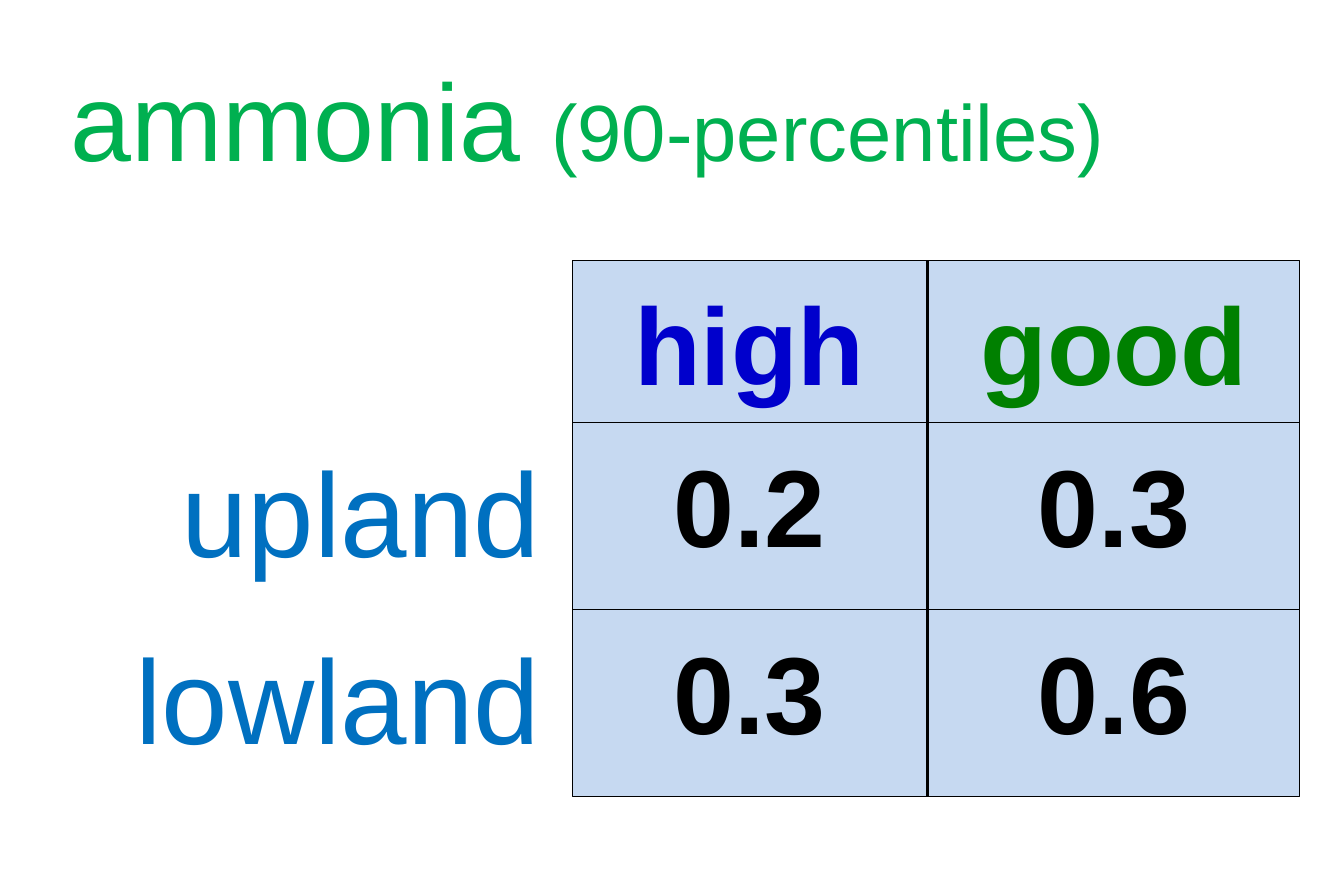
from dataclasses import dataclass

from lxml.etree import SubElement
from pptx import Presentation
from pptx.dml.color import RGBColor
from pptx.enum.shapes import MSO_CONNECTOR, MSO_SHAPE
from pptx.enum.text import MSO_ANCHOR, PP_ALIGN
from pptx.oxml.ns import qn
from pptx.slide import Slide
from pptx.text.text import Font
from pptx.util import Inches, Pt


@dataclass
class Band:
    start: float
    size: float


@dataclass
class Entry:
    text: str
    color: str = "000000"


LABEL_COLUMN = Band(0.11, 4.51)
VALUE_COLUMNS = (Band(4.79, 2.97), Band(7.77, 3.11))
ROWS = (Band(2.18, 1.36), Band(3.54, 1.56), Band(5.1, 1.57))


def rgb(value: str) -> RGBColor:
    return RGBColor.from_string(value)


def set_font(font: Font, size: float, color: str, bold: bool = False) -> None:
    font.name = "Arial"
    font.size = Pt(size)
    font.bold = bold
    font.color.rgb = rgb(color)


def add_cell(page: Slide, column: Band, row: Band, entry: Entry) -> None:
    area = [Inches(value) for value in (column.start, row.start, column.size, row.size)]
    is_label = column is LABEL_COLUMN
    if is_label:
        box = page.shapes.add_textbox(*area)
    else:
        box = page.shapes.add_shape(MSO_SHAPE.RECTANGLE, *area)
        box.shadow.inherit = False
        box.fill.solid()
        box.fill.fore_color.rgb = rgb("C6D9F1")
        box.line.color.rgb = rgb("000000")
        box.line.width = Pt(0.75)
    frame = box.text_frame
    frame.word_wrap = True
    frame.vertical_anchor = MSO_ANCHOR.TOP
    frame.margin_top = Inches(0.13)
    para = frame.paragraphs[0]
    para.text = entry.text
    para.alignment = PP_ALIGN.RIGHT if is_label else PP_ALIGN.CENTER
    set_font(para.font, 72 if is_label else 66, entry.color, bold=not is_label)


def add_title(page: Slide) -> None:
    box = page.shapes.add_textbox(Inches(0.49), Inches(0.36), Inches(9.56), Inches(1.25))
    frame = box.text_frame
    frame.word_wrap = True
    frame.vertical_anchor = MSO_ANCHOR.MIDDLE
    para = frame.paragraphs[0]
    for text, size in (("ammonia ", 66), ("(90-percentiles)", 48)):
        span = para.add_run()
        span.text = text
        set_font(span.font, size, "00B050")


def add_divider(page: Slide) -> None:
    x = Inches(VALUE_COLUMNS[1].start)
    bottom = Inches(ROWS[-1].start + ROWS[-1].size)
    divider = page.shapes.add_connector(
        MSO_CONNECTOR.STRAIGHT, x, Inches(ROWS[0].start), x, bottom)
    divider.line.color.rgb = rgb("000000")
    divider.line.width = Pt(1)
    SubElement(divider._element.spPr, qn("a:effectLst"))


def main() -> None:
    deck = Presentation()
    deck.slide_width, deck.slide_height = Inches(11.25), Inches(7.5)
    page = deck.slides.add_slide(deck.slide_layouts[6])
    add_title(page)

    # Grid of limits, the header row without a label
    grid = (
        (None, Entry("high", "0000CC"), Entry("good", "008000")),
        (Entry("upland", "0070C0"), Entry("0.2"), Entry("0.3")),
        (Entry("lowland", "0070C0"), Entry("0.3"), Entry("0.6")),
    )
    for row, entries in zip(ROWS, grid):
        for column, entry in zip((LABEL_COLUMN, *VALUE_COLUMNS), entries):
            if entry:
                add_cell(page, column, row, entry)

    add_divider(page)
    deck.save("out.pptx")


if __name__ == "__main__":
    main()
